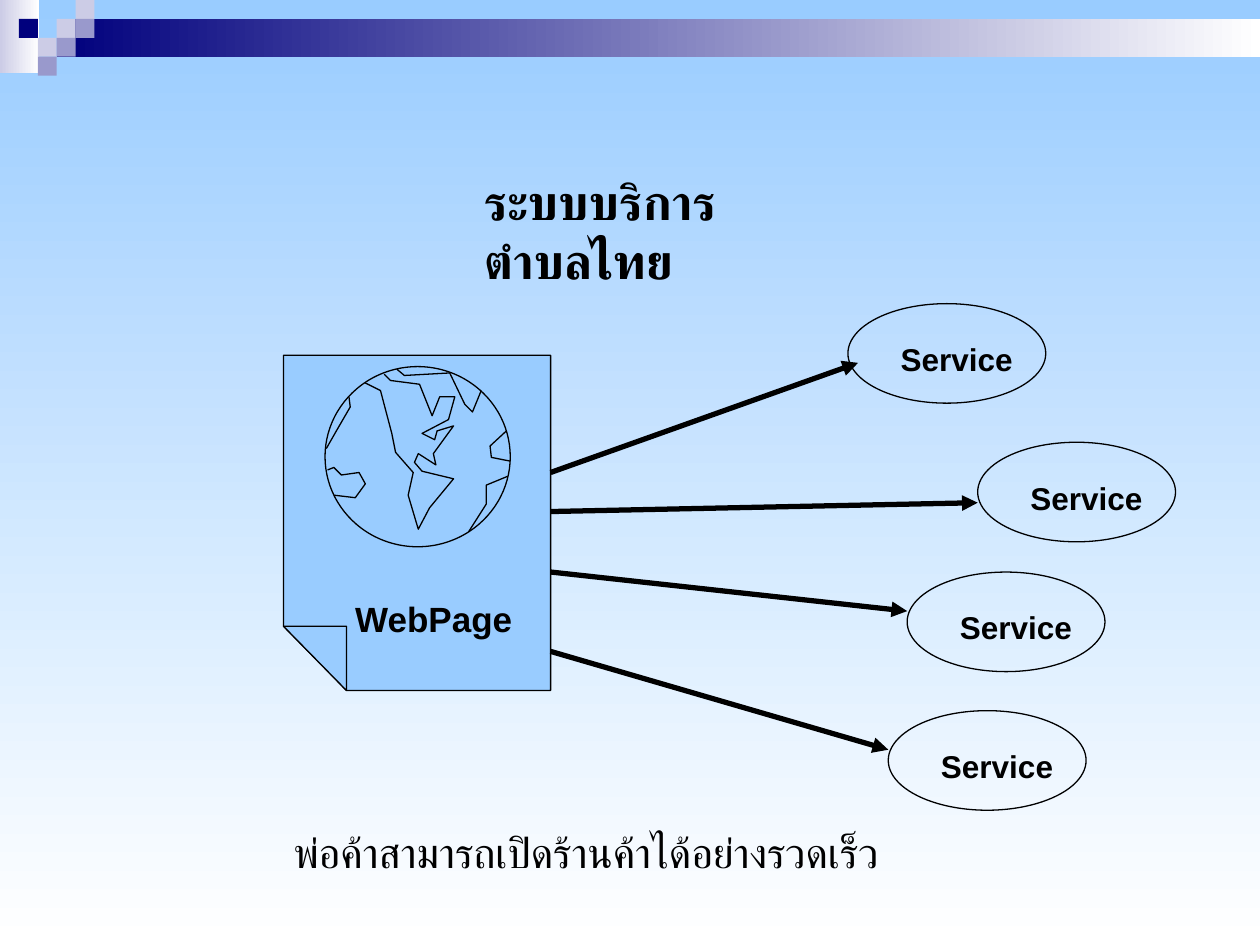
from lxml.etree import SubElement
from pptx import Presentation
from pptx.dml.color import RGBColor
from pptx.enum.shapes import MSO_CONNECTOR, MSO_SHAPE
from pptx.enum.text import MSO_ANCHOR, MSO_AUTO_SIZE, PP_ALIGN
from pptx.oxml.ns import qn
from pptx.util import Pt

PX = 9144  # EMU in one px: 100 px to the inch
BLACK = RGBColor(0x00, 0x00, 0x00)
WHITE = RGBColor(0xFF, 0xFF, 0xFF)
SKY = RGBColor(0x99, 0xCC, 0xFF)
NAVY = RGBColor(0x00, 0x00, 0x7D)
LAVENDER = RGBColor(0xCC, 0xCC, 0xE6)
PURPLE = RGBColor(0x99, 0x99, 0xCC)

# Outlines on the globe, in px from the left top corner of the web page
COASTS = [
    [(34, 74), (42, 60), (53, 41), (52, 33)],
    [(35, 91), (40, 89), (46, 95), (60, 93), (65, 102), (57, 113), (40, 111)],
    [(147, 140), (161, 118), (161, 103), (178, 96)],
    [(180, 84), (165, 81), (164, 72), (177, 60)],
    [(90, 11), (96, 16), (132, 14), (144, 39), (150, 45), (157, 28)],
    [(80, 15), (85, 20), (108, 23), (118, 48), (124, 33), (136, 33),
     (131, 51), (110, 62), (120, 67), (122, 60), (135, 56), (119, 78),
     (121, 87), (107, 78), (104, 85), (110, 92), (135, 98), (116, 121),
     (107, 138), (99, 111), (103, 93), (89, 77), (86, 62), (77, 28), (65, 22)],
]


def fill_gradient(fill, first, last, angle):
    fill.gradient()
    fill.gradient_angle = angle
    for stop, color in zip(fill.gradient_stops, (first, last)):
        stop.color.rgb = color


def style(shape, fill=None, line=None):
    shape.shadow.inherit = False
    if fill is None:
        shape.fill.background()
    else:
        shape.fill.solid()
        shape.fill.fore_color.rgb = fill
    if line is None:
        shape.line.fill.background()
    else:
        shape.line.color.rgb = line
        shape.line.width = Pt(0.75)
    return shape


def add_shape(page, kind, left, top, width, height, **look):
    shape = page.shapes.add_shape(kind, left * PX, top * PX, width * PX, height * PX)
    return style(shape, **look)


def add_outline(page, contours, close=True, **look):
    """Draw one freeform from lists of (x, y) points in px."""
    builder = page.shapes.build_freeform(*contours[0][0], scale=PX)
    for index, contour in enumerate(contours):
        if index:
            builder.move_to(*contour[0])
        builder.add_line_segments(contour[1:], close=close)
    return style(builder.convert_to_shape(), **look)


def write(box, text, size, bold=False, wrap=True, anchor=MSO_ANCHOR.TOP):
    frame = box.text_frame
    frame.word_wrap = wrap
    frame.auto_size = MSO_AUTO_SIZE.NONE
    frame.vertical_anchor = anchor
    para = frame.paragraphs[0]
    para.alignment = PP_ALIGN.LEFT
    span = para.add_run()
    span.text = text
    span.font.name = "Arial"
    span.font.size = Pt(size)
    span.font.bold = bold
    span.font.color.rgb = BLACK


def add_text(page, left, top, width, height, text, **look):
    box = page.shapes.add_textbox(left * PX, top * PX, width * PX, height * PX)
    write(box, text, **look)


def add_arrow(page, start, end):
    arrow = page.shapes.add_connector(
        MSO_CONNECTOR.STRAIGHT, *(value * PX for value in (*start, *end)))
    arrow.line.color.rgb = BLACK
    arrow.line.width = Pt(3)
    properties = arrow._element.spPr
    SubElement(properties.find(qn("a:ln")), qn("a:tailEnd"), type="triangle")
    SubElement(properties, qn("a:effectLst"))


def add_banner(page):
    corner = add_shape(page, MSO_SHAPE.RECTANGLE, 0, 0, 31, 58)
    fill_gradient(corner.fill, LAVENDER, WHITE, 0)
    bar = add_shape(page, MSO_SHAPE.RECTANGLE, 45, 15, 955, 30)
    fill_gradient(bar.fill, NAVY, WHITE, 0)
    side = 15
    tiles = [(3, 1, LAVENDER), (4, 0, LAVENDER), (4, 1, PURPLE), (2, 2, LAVENDER),
             (1, 1, NAVY), (3, 2, PURPLE), (2, 3, PURPLE)]
    for column, row, color in tiles:
        add_shape(page, MSO_SHAPE.RECTANGLE, column * side, row * side,
                  side, side, fill=color)


def add_web_page(page, left, top, width, height):
    right, bottom = left + width, top + height
    fold_x, fold_y = left + 50, bottom - 51
    add_outline(page, [[(left, top), (right, top), (right, bottom),
                        (fold_x, bottom), (left, fold_y)]], fill=SKY, line=BLACK)
    add_outline(page, [[(left, fold_y), (fold_x, fold_y), (fold_x, bottom)]],
                fill=SKY, line=BLACK)
    add_shape(page, MSO_SHAPE.OVAL, left + 33, top + 9, 147, 143, line=BLACK)
    coasts = [[(left + x, top + y) for x, y in coast] for coast in COASTS]
    add_outline(page, coasts, close=False, line=BLACK)


def add_service(page, left, top):
    add_shape(page, MSO_SHAPE.OVAL, left, top, 157, 79, line=BLACK)
    add_text(page, left + 32, top + 24, 110, 40, "Service", size=18, bold=True)


def add_title(page, left, top, width, height, text):
    title = page.shapes.title
    title.left, title.top = left * PX, top * PX
    title.width, title.height = width * PX, height * PX
    write(title, text, size=28, bold=True)


def main():
    deck = Presentation()
    deck.slide_width, deck.slide_height = 1000 * PX, 750 * PX
    page = deck.slides.add_slide(deck.slide_layouts[5])
    fill_gradient(page.background.fill, SKY, WHITE, 270)
    add_banner(page)
    add_title(page, 374, 131, 260, 104, "ระบบบริการตำบลไทย")

    page_left, page_top, page_width, page_height = 225, 282, 212, 266
    add_web_page(page, page_left, page_top, page_width, page_height)
    # Service corner, height where the arrow leaves the web page, arrow tip
    services = [((673, 241), 375, (681, 288)),
                ((776, 351), 406, (776, 399)),
                ((720, 454), 454, (720, 485)),
                ((705, 564), 517, (705, 595))]
    for corner, start_y, tip in services:
        add_service(page, *corner)
        add_arrow(page, (page_left + page_width, start_y), tip)

    add_text(page, 272, 469, 189, 44, "WebPage", size=20, bold=True)
    add_text(page, 223, 651, 484, 50, "พ่อค้าสามารถเปิดร้านค้าได้อย่างรวดเร็ว",
             size=24, wrap=False, anchor=MSO_ANCHOR.MIDDLE)
    deck.save("out.pptx")


if __name__ == "__main__":
    main()
